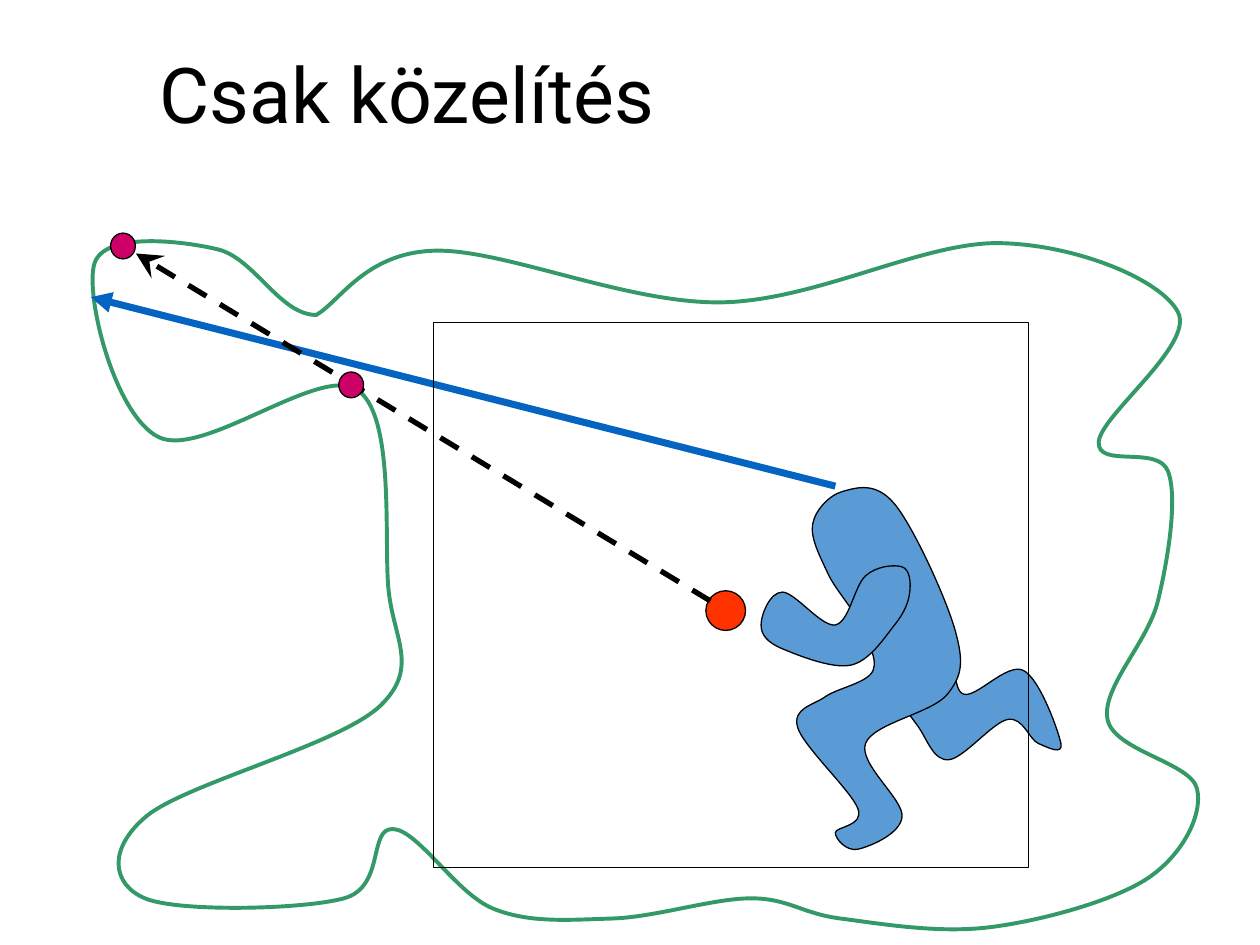
from lxml import etree
from pptx import Presentation
from pptx.dml.color import RGBColor
from pptx.enum.dml import MSO_LINE
from pptx.enum.shapes import MSO_CONNECTOR, MSO_SHAPE
from pptx.enum.text import MSO_ANCHOR, MSO_AUTO_SIZE, PP_ALIGN
from pptx.oxml.ns import qn
from pptx.util import Cm, Pt

DASH = MSO_LINE.DASH
STRAIGHT = MSO_CONNECTOR.STRAIGHT
RECTANGLE, OVAL = MSO_SHAPE.RECTANGLE, MSO_SHAPE.OVAL
LEFT, MIDDLE = PP_ALIGN.LEFT, MSO_ANCHOR.MIDDLE
NO_AUTOFIT = MSO_AUTO_SIZE.NONE
TITLE_ONLY = 5

BLACK, BODY_BLUE, ARROW_BLUE = "000000", "5B9BD5", "0563C1"
GREEN, ORANGE, MAGENTA = "339966", "FF3300", "CC0066"

# Only the points that each smooth outline passes through,
# in hundredths of an inch
OUTLINE_UNIT = Cm(0.0254)
BACK_LEG = [(711, 545), (729, 577), (753, 603), (800, 571), (824, 590),
            (842, 590), (812, 532), (765, 551), (753, 513), (723, 513)]
BODY = [(710, 400), (669, 390), (645, 416), (657, 455), (681, 493),
        (693, 532), (655, 553), (633, 577), (681, 642), (663, 661),
        (681, 674), (716, 648), (687, 590), (752, 551), (758, 500)]
ARM = [(722, 470), (710, 496), (675, 528), (621, 515), (604, 496),
       (621, 470), (663, 496), (687, 457), (716, 450)]
SURROUNDINGS = [(251, 250), (173, 198), (75, 209), (126, 347), (283, 309),
                (308, 464), (302, 560), (116, 648), (115, 713), (273, 713),
                (312, 658), (391, 721), (486, 729), (596, 713), (667, 729),
                (785, 736), (911, 697), (950, 626), (879, 571), (919, 477),
                (927, 374), (872, 351), (935, 248), (793, 193), (572, 240),
                (344, 199)]
# The surroundings close in a corner, arriving in the direction of this point
CORNER_TARGET = (230, 265)


def color(value):
    return RGBColor.from_string(value)


def style_shape(shape, fill, line, width):
    shape.shadow.inherit = False
    if fill:
        shape.fill.solid()
        shape.fill.fore_color.rgb = color(fill)
    else:
        shape.fill.background()
    shape.line.color.rgb = color(line)
    shape.line.width = Pt(width)


def set_title(slide, text):
    title = slide.shapes.title
    title.left, title.top, title.width, title.height = Cm(2.97), Cm(0), Cm(20.96), Cm(3.99)
    text_frame = title.text_frame
    text_frame.text = text
    text_frame.word_wrap = True
    text_frame.auto_size = NO_AUTOFIT
    text_frame.vertical_anchor = MIDDLE
    paragraph = text_frame.paragraphs[0]
    paragraph.alignment = LEFT
    paragraph.line_spacing = 0.9
    font = paragraph.runs[0].font
    font.name, font.size = "Roboto", Pt(44)
    font.color.rgb = color(BLACK)


def control_point(point, toward, away):
    """Lie beside a point, at a sixth of the way from one neighbour to the other."""
    return tuple(p + (t - a) / 6 for p, t, a in zip(point, toward, away))


def smooth_curve(points, corner_target=None):
    """Give two control points and an end point for each side of a closed Catmull-Rom curve."""
    count = len(points)
    curve = []
    for index, start in enumerate(points):
        before = points[index - 1]
        end = points[(index + 1) % count]
        after = points[(index + 2) % count]
        if corner_target and index == count - 1:
            after = corner_target
        curve += [control_point(start, end, before), control_point(end, start, after), end]
    return curve


def add_smooth_outline(shapes, points, fill=None, line=BLACK, width=0.75, corner_target=None):
    builder = shapes.build_freeform(*points[0], scale=OUTLINE_UNIT)
    builder.add_line_segments(smooth_curve(points, corner_target), close=True)
    shape = builder.convert_to_shape()
    # Each three straight segments become one Bézier segment
    segments = iter(shape._element.findall(".//" + qn("a:lnTo")))
    for first, second, third in zip(segments, segments, segments):
        first.tag = qn("a:cubicBezTo")
        for segment in (second, third):
            first.append(segment[0])
            segment.getparent().remove(segment)
    style_shape(shape, fill, line, width)


def add_preset(shapes, kind, left, top, width, height, fill=None):
    shape = shapes.add_shape(kind, Cm(left), Cm(top), Cm(width), Cm(height))
    style_shape(shape, fill, BLACK, 0.75)


def add_arrow(shapes, start, end, line, width, arrowhead, size="med", dash=None):
    connector = shapes.add_connector(STRAIGHT, *map(Cm, start + end))
    connector.line.color.rgb = color(line)
    connector.line.width = Pt(width)
    if dash:
        connector.line.dash_style = dash
    properties = connector._element.spPr
    # The dashed ray is drawn from its tip, the solid one toward it
    end_tag = "a:headEnd" if dash else "a:tailEnd"
    outline = properties.find(qn("a:ln"))
    etree.SubElement(outline, qn(end_tag), type=arrowhead, w=size, len=size)
    etree.SubElement(properties, qn("a:effectLst"))


def main():
    presentation = Presentation()
    presentation.slide_width, presentation.slide_height = Cm(25.4), Cm(19.05)
    slide = presentation.slides.add_slide(presentation.slide_layouts[TITLE_ONLY])
    shapes = slide.shapes
    set_title(slide, "Csak közelítés")

    # Crouching figure
    figure = shapes.add_group_shape()
    for outline in (BACK_LEG, BODY, ARM):
        add_smooth_outline(figure.shapes, outline, BODY_BLUE)

    # Surroundings, line of sight, bounding box and reference point
    add_smooth_outline(shapes, SURROUNDINGS, line=GREEN, width=2.25, corner_target=CORNER_TARGET)
    add_arrow(shapes, (16.84, 9.8), (1.83, 5.99), ARROW_BLUE, 4, "triangle")
    add_preset(shapes, RECTANGLE, 8.74, 6.5, 11.99, 10.99)
    add_preset(shapes, OVAL, 14.23, 11.91, 0.8, 0.8, ORANGE)

    # Dashed ray with its two hit points
    ray = shapes.add_group_shape()
    add_arrow(ray.shapes, (2.74, 5.11), (14.33, 12.12), BLACK, 3, "stealth", "lg", DASH)
    for left, top in ((6.83, 7.5), (2.23, 4.7)):
        add_preset(ray.shapes, OVAL, left, top, 0.5, 0.52, MAGENTA)

    presentation.save("out.pptx")


if __name__ == "__main__":
    main()
